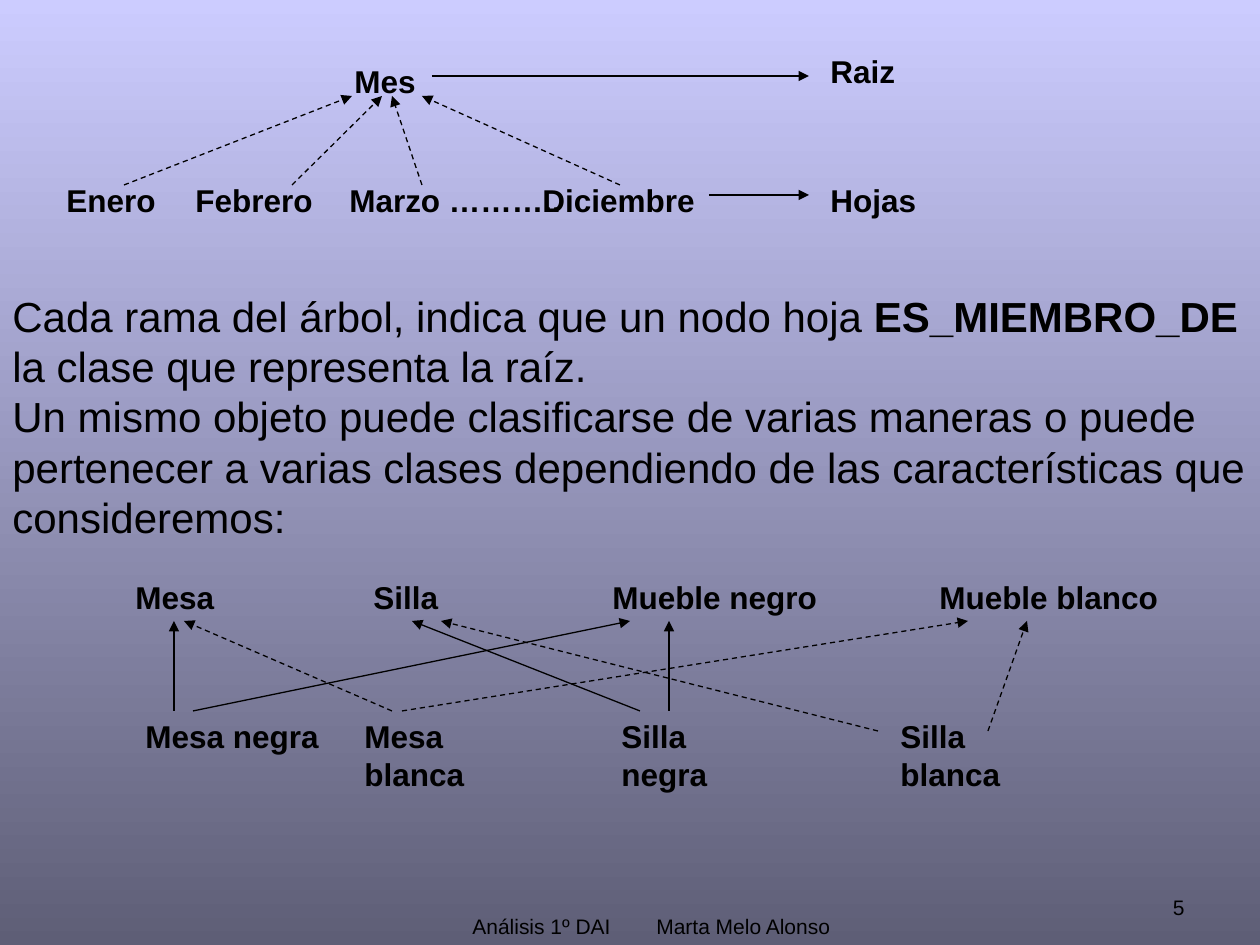
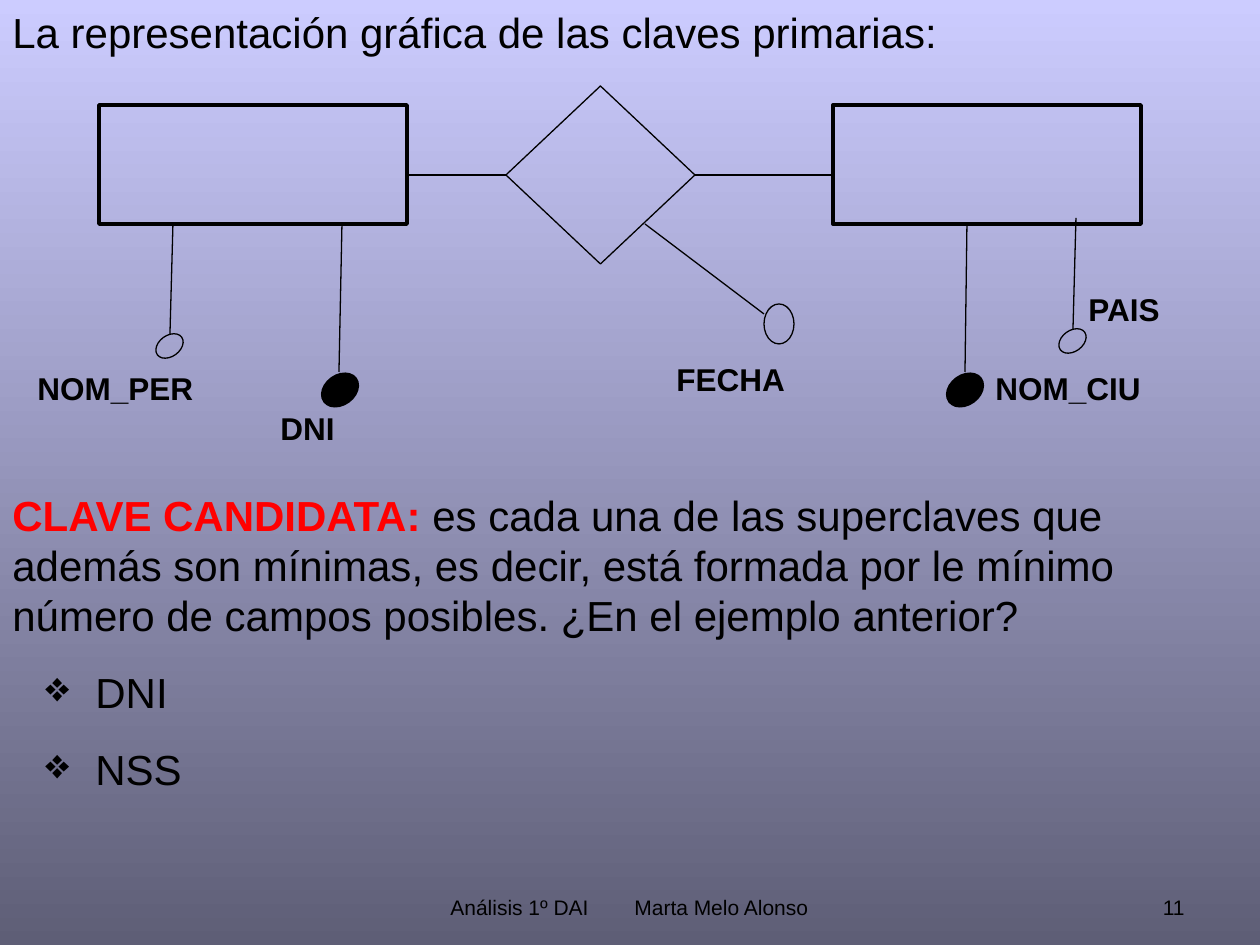
"""Build two slides on class trees and on candidate keys in entity diagrams."""
from dataclasses import dataclass

from lxml.etree import SubElement
from pptx import Presentation
from pptx.dml.color import RGBColor
from pptx.enum.dml import MSO_LINE
from pptx.enum.shapes import MSO_CONNECTOR, MSO_SHAPE
from pptx.enum.text import MSO_ANCHOR, PP_ALIGN
from pptx.oxml.ns import qn
from pptx.presentation import Presentation as Deck
from pptx.shapes.autoshape import Shape
from pptx.shapes.connector import Connector
from pptx.slide import Slide
from pptx.util import Emu, Pt

PX_PER_INCH = 126


@dataclass(frozen=True)
class Theme:
    font: str = "Arial"
    ink: RGBColor = RGBColor(0x00, 0x00, 0x00)
    accent: RGBColor = RGBColor(0xFF, 0x00, 0x00)
    sky: RGBColor = RGBColor(0xCC, 0xCC, 0xFF)
    dusk: RGBColor = RGBColor(0x5E, 0x5E, 0x76)
    body_size: int = 24
    label_size: int = 18
    footer_size: int = 12
    thin: float = 0.75
    thick: float = 2.25
    bullet: str = "❖"
    bullet_gap: int = 15


THEME = Theme()


@dataclass(frozen=True)
class Span:
    text: str
    size: int = THEME.body_size
    bold: bool = False
    color: RGBColor = THEME.ink


@dataclass(frozen=True)
class Para:
    spans: tuple[Span, ...]
    align: PP_ALIGN = PP_ALIGN.LEFT
    bulleted: bool = False
    tab: int = 0


@dataclass(frozen=True)
class Label:
    text: str
    left: int
    top: int
    width: int = 208


@dataclass(frozen=True)
class Link:
    start: tuple[int, int]
    end: tuple[int, int]
    dashed: bool = False
    arrow: bool = True


@dataclass(frozen=True)
class Attribute:
    stem: Link
    corner: tuple[int, int]
    size: tuple[int, int]
    rotation: float = 54.1
    is_key: bool = False


def px(length: int) -> Emu:
    """Turn px into EMU."""
    return Emu(round(length * 914400 / PX_PER_INCH))


def add_text(slide: Slide, left: int, top: int, width: int, height: int,
             paras: tuple[Para, ...], anchor: MSO_ANCHOR = MSO_ANCHOR.TOP) -> None:
    """Add a wrapping text box made of paragraphs and spans."""
    frame = slide.shapes.add_textbox(px(left), px(top), px(width), px(height)).text_frame
    frame.word_wrap = True
    frame.vertical_anchor = anchor
    for index, para in enumerate(paras):
        paragraph = frame.add_paragraph() if index else frame.paragraphs[0]
        paragraph.alignment = para.align
        properties = paragraph._p.get_or_add_pPr()
        if para.bulleted:
            paragraph.space_before = Pt(THEME.bullet_gap)
            properties.set("marL", str(px(83)))
            properties.set("indent", str(px(-50)))
            SubElement(properties, qn("a:buChar"), char=THEME.bullet)
        if para.tab:
            stops = SubElement(properties, qn("a:tabLst"))
            SubElement(stops, qn("a:tab"), pos=str(px(para.tab)), algn="l")
        for span in para.spans:
            run = paragraph.add_run()
            run.text = span.text
            run.font.name = THEME.font
            run.font.size = Pt(span.size)
            run.font.bold = span.bold
            run.font.color.rgb = span.color


def add_label(slide: Slide, label: Label) -> None:
    """Add a bold label for a node or an attribute."""
    span = Span(label.text, THEME.label_size, bold=True)
    add_text(slide, label.left, label.top, label.width, 50, (Para((span,)),))


def add_link(slide: Slide, link: Link) -> Connector:
    """Add a straight line, dashed or arrowed where asked."""
    points = [px(value) for value in link.start + link.end]
    connector = slide.shapes.add_connector(MSO_CONNECTOR.STRAIGHT, *points)
    connector.line.color.rgb = THEME.ink
    connector.line.width = Pt(THEME.thin)
    if link.dashed:
        connector.line.dash_style = MSO_LINE.DASH
    properties = connector._element.spPr
    if link.arrow:
        SubElement(properties.find(qn("a:ln")), qn("a:tailEnd"), type="triangle")
    SubElement(properties, qn("a:effectLst"))
    return connector


def add_outline(slide: Slide, kind: MSO_SHAPE, left: int, top: int, width: int,
                height: int, weight: float = THEME.thin, filled: bool = False) -> Shape:
    """Add an outlined preset shape."""
    shape = slide.shapes.add_shape(kind, px(left), px(top), px(width), px(height))
    shape.shadow.inherit = False
    shape.line.color.rgb = THEME.ink
    shape.line.width = Pt(weight)
    if filled:
        shape.fill.solid()
        shape.fill.fore_color.rgb = THEME.ink
    else:
        shape.fill.background()
    return shape


def add_attribute(slide: Slide, attribute: Attribute) -> None:
    """Add an attribute stem with its ellipse, filled for a key."""
    add_link(slide, attribute.stem)
    ellipse = add_outline(slide, MSO_SHAPE.OVAL, *attribute.corner, *attribute.size,
                          filled=attribute.is_key)
    ellipse.rotation = attribute.rotation


def paint_background(deck: Deck) -> None:
    """Give every slide the shared vertical gradient."""
    fill = deck.slide_master.background.fill
    fill.gradient()
    fill.gradient_angle = 270
    for stop, color, position in zip(fill.gradient_stops, (THEME.sky, THEME.dusk), (0, 1)):
        stop.color.rgb = color
        stop.position = position


def add_page(deck: Deck, number: int, footer_left: int, footer_top: int) -> Slide:
    """Add a blank page with its number and footer."""
    page = deck.slides.add_slide(deck.slide_layouts[6])
    number_span = Span(str(number), THEME.footer_size)
    add_text(page, 903, 861, 294, 65, (Para((number_span,), PP_ALIGN.RIGHT),),
             MSO_ANCHOR.BOTTOM)
    footer_span = Span("Análisis 1º DAI\tMarta Melo Alonso", THEME.footer_size)
    add_text(page, footer_left, footer_top, 400, 65, (Para((footer_span,), tab=184),),
             MSO_ANCHOR.BOTTOM)
    return page


def build_class_trees(deck: Deck) -> None:
    """Build the page with the month tree and the furniture classes."""
    page = add_page(deck, 5, 460, 880)
    leaf_top, class_top, item_top = 175, 572, 711
    labels = (
        Label("Enero", 54, leaf_top),
        Label("Febrero", 183, leaf_top),
        Label("Marzo ………..", 337, leaf_top, 242),
        Label("Diciembre", 530, leaf_top),
        Label("Mes", 342, 56),
        Label("Hojas", 818, leaf_top),
        Label("Raiz", 818, 46),
        Label("Mesa", 123, class_top),
        Label("Silla", 361, class_top),
        Label("Mueble negro", 600, class_top, 258),
        Label("Mueble blanco", 927, class_top, 258),
        Label("Mesa negra", 133, item_top),
        Label("Mesa blanca", 352, item_top),
        Label("Silla negra", 609, item_top, 179),
        Label("Silla blanca", 888, item_top, 188),
    )
    for label in labels:
        add_label(page, label)

    for leaf_x, root_x in ((124, 352), (292, 382), (422, 392), (620, 422)):
        add_link(page, Link((leaf_x, 185), (root_x, 96), dashed=True))
    for start_x, y in ((432, 76), (709, 195)):
        add_link(page, Link((start_x, y), (809, y)))

    white_links = ((402, 711, 968), (392, 711, 184), (988, 731, 1027), (878, 731, 441))
    black_links = ((174, 711, 174), (193, 711, 630), (669, 711, 669), (640, 711, 412))
    for links, dashed in ((white_links, True), (black_links, False)):
        for item_x, item_y, class_x in links:
            add_link(page, Link((item_x, item_y), (class_x, 621), dashed))

    add_text(page, 0, 284, 1260, 265, (
        Para((
            Span("Cada rama del árbol, indica que un nodo hoja "),
            Span("ES_MIEMBRO_DE ", bold=True),
            Span("la clase que representa la raíz."),
        )),
        Para((Span("Un mismo objeto puede clasificarse de varias maneras o puede "
                   "pertenecer a varias clases dependiendo de las características "
                   "que consideremos:"),)),
    ))


def build_candidate_keys(deck: Deck) -> None:
    """Build the page with the entity diagram and the key definition."""
    page = add_page(deck, 11, 438, 861)
    add_text(page, 0, 0, 1260, 63,
             (Para((Span("La representación gráfica de las claves primarias:"),)),))

    for left in (99, 833):
        add_outline(page, MSO_SHAPE.RECTANGLE, left, 105, 308, 119, THEME.thick)
    relation = add_outline(page, MSO_SHAPE.DIAMOND, 506, 86, 189, 178)
    for site, diamond_x, entity_x in ((1, 506, 407), (3, 695, 833)):
        side = add_link(page, Link((diamond_x, 175), (entity_x, 175), arrow=False))
        side.begin_connect(relation, site)

    small, large = (21, 30), (30, 40)
    attributes = (
        Attribute(Link((645, 224), (764, 314), arrow=False), (764, 304), large, 0),
        Attribute(Link((342, 223), (339, 372), arrow=False), (325, 370), large, is_key=True),
        Attribute(Link((173, 223), (170, 334), arrow=False), (159, 331), small),
        Attribute(Link((967, 223), (965, 372), arrow=False), (950, 370), large, is_key=True),
        Attribute(Link((1076, 218), (1073, 329), arrow=False), (1062, 326), small),
    )
    for attribute in attributes:
        add_attribute(page, attribute)

    labels = (
        Label("NOM_PER", 25, 363),
        Label("DNI", 268, 403),
        Label("FECHA", 664, 354),
        Label("NOM_CIU", 983, 363),
        Label("PAIS", 1076, 284, 180),
    )
    for label in labels:
        add_label(page, label)

    definition = Para((
        Span("CLAVE CANDIDATA: ", bold=True, color=THEME.accent),
        Span("es cada una de las superclaves que además son mínimas, es decir, está "
             "formada por le mínimo número de campos posibles. ¿En el ejemplo anterior?"),
    ))
    examples = tuple(Para((Span(key),), bulleted=True) for key in ("DNI", "NSS"))
    add_text(page, 0, 483, 1235, 318, (definition, *examples))


def main() -> None:
    """Build and save the deck."""
    deck = Presentation()
    deck.slide_width, deck.slide_height = px(1260), px(945)
    paint_background(deck)
    build_class_trees(deck)
    build_candidate_keys(deck)
    deck.save("out.pptx")


if __name__ == "__main__":
    main()
